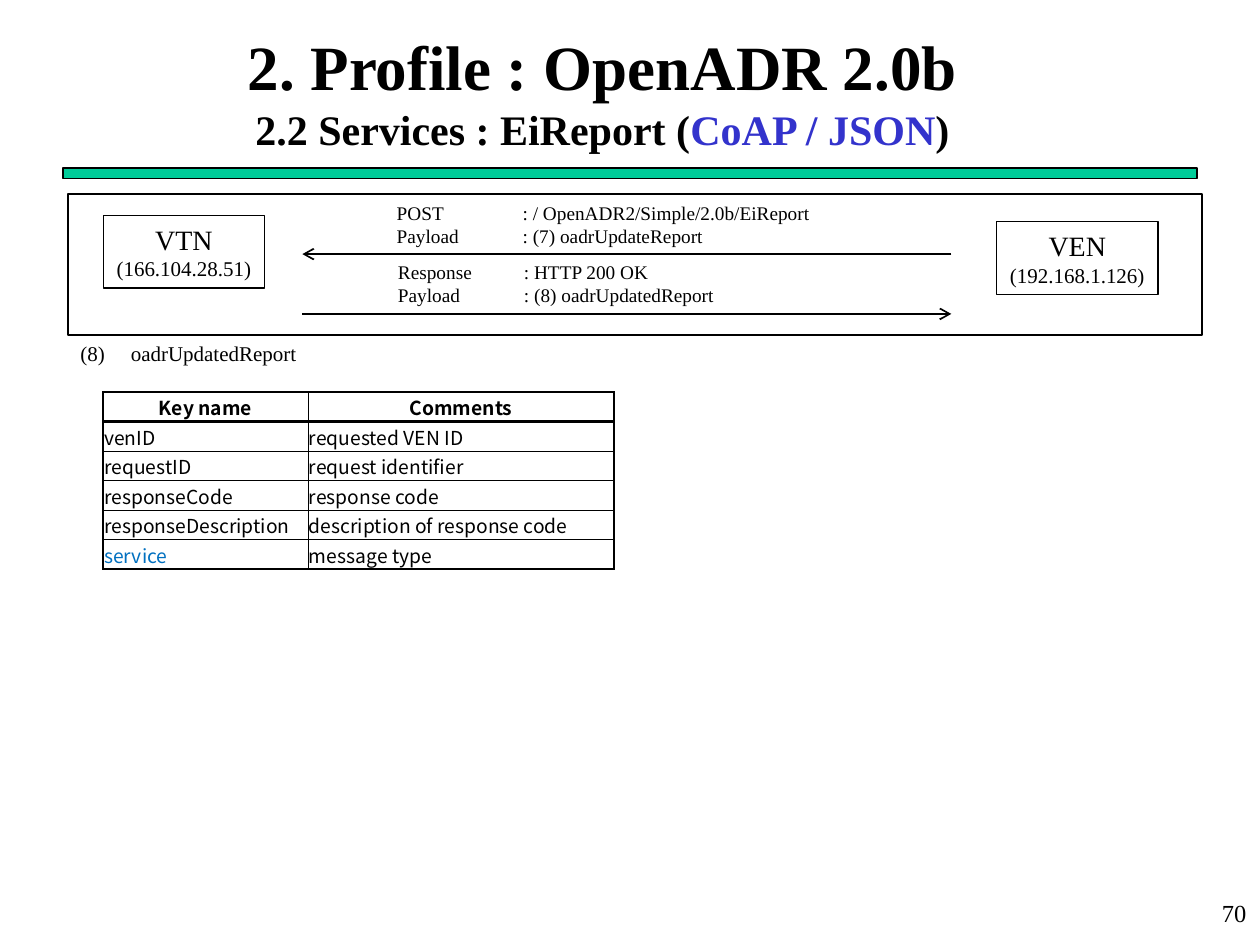
import dataclasses
import typing

import pptx
import pptx.dml.color
import pptx.enum.shapes
import pptx.enum.text
import pptx.oxml
import pptx.oxml.ns
import pptx.util

Pt = pptx.util.Pt
RGBColor = pptx.dml.color.RGBColor
Align = pptx.enum.text.PP_ALIGN
Anchor = pptx.enum.text.MSO_ANCHOR
Kind = pptx.enum.shapes.MSO_SHAPE

BLACK = RGBColor(0x00, 0x00, 0x00)
WHITE = RGBColor(0xFF, 0xFF, 0xFF)
GREEN = RGBColor(0x00, 0xCC, 0x99)
INDIGO = RGBColor(0x33, 0x33, 0xCC)
BLUE = RGBColor(0x00, 0x70, 0xC0)
SERIF = "Times New Roman"
SANS = "Noto Sans CJK KR"


@dataclasses.dataclass
class Run:
    text: str
    size: float
    color: RGBColor = BLACK
    bold: bool = False
    name: str = SERIF


@dataclasses.dataclass
class Area:
    left: float
    top: float
    width: float
    height: float

    def spots(self) -> list:
        return [Pt(v) for v in dataclasses.astuple(self)]


@dataclasses.dataclass
class Note:
    area: Area
    lines: list
    align: Align = Align.LEFT
    tab: float = 72


@dataclasses.dataclass
class Node:
    area: Area
    name: str
    address: str


@dataclasses.dataclass
class Arrow:
    start: float
    end: float
    top: float


def assign(item: typing.Any, values: dict) -> None:
    for key, value in values.items():
        setattr(item, key, value)


def write(frame: typing.Any, lines: list, align: Align) -> None:
    """Fill a text frame with one paragraph for each list of runs."""
    for i, runs in enumerate(lines):
        par = frame.paragraphs[0] if i == 0 else frame.add_paragraph()
        par.alignment = align
        for part in runs:
            run = par.add_run()
            run.text = part.text
            assign(run.font, {"size": Pt(part.size), "bold": part.bold, "name": part.name})
            run.font.color.rgb = part.color


def add_note(shapes: typing.Any, note: Note) -> None:
    frame = shapes.add_textbox(*note.area.spots()).text_frame
    frame.word_wrap = True
    write(frame, note.lines, note.align)
    for par in frame.paragraphs:
        stops = pptx.oxml.parse_xml(
            f'<a:tabLst {pptx.oxml.ns.nsdecls("a")}>'
            f'<a:tab pos="{Pt(note.tab)}" algn="l"/></a:tabLst>')
        par._p.get_or_add_pPr().append(stops)


def add_box(shapes: typing.Any, area: Area, fill: RGBColor, weight: float) -> typing.Any:
    box = shapes.add_shape(Kind.RECTANGLE, *area.spots())
    box.shadow.inherit = False
    box.fill.solid()
    box.fill.fore_color.rgb = fill
    box.line.color.rgb = BLACK
    box.line.width = Pt(weight)
    return box


def add_node(shapes: typing.Any, node: Node) -> None:
    frame = add_box(shapes, node.area, WHITE, 0.75).text_frame
    assign(frame, {"word_wrap": False, "vertical_anchor": Anchor.MIDDLE})
    write(frame, [[Run(node.name, 16)], [Run(node.address, 12)]], Align.CENTER)


def add_arrow(shapes: typing.Any, arrow: Arrow) -> None:
    line = shapes.add_connector(
        pptx.enum.shapes.MSO_CONNECTOR.STRAIGHT,
        Pt(arrow.start), Pt(arrow.top), Pt(arrow.end), Pt(arrow.top))
    line.line.color.rgb = BLACK
    line.line.width = Pt(1)
    space = pptx.oxml.ns.nsdecls("a")
    line.line._get_or_add_ln().append(pptx.oxml.parse_xml(f'<a:tailEnd {space} type="arrow"/>'))
    line._element.spPr.append(pptx.oxml.parse_xml(f"<a:effectLst {space}/>"))


def add_edge(cell: typing.Any, side: str, weight: float) -> None:
    cell._tc.get_or_add_tcPr().append(pptx.oxml.parse_xml(
        f'<a:ln{side} {pptx.oxml.ns.nsdecls("a")} w="{Pt(weight)}">'
        f'<a:solidFill><a:srgbClr val="{BLACK}"/></a:solidFill></a:ln{side}>'))


def add_grid(shapes: typing.Any, area: Area, widths: list, rows: list) -> None:
    grid = shapes.add_table(len(rows), len(widths), *area.spots()).table
    for col, width in zip(grid.columns, widths):
        col.width = Pt(width)
    last = len(rows) - 1
    for r, row in enumerate(rows):
        grid.rows[r].height = Pt(area.height / len(rows))
        for c, text in enumerate(row):
            cell = grid.cell(r, c)
            assign(cell, {"margin_left": Pt(0.6), "margin_right": Pt(0.6),
                          "margin_top": Pt(0.6), "margin_bottom": 0,
                          "vertical_anchor": Anchor.MIDDLE})
            edges = {"L": 1 if c == 0 else 0.5,
                     "R": 1 if c == len(row) - 1 else 0.5,
                     "T": {0: 1, 1: 2}.get(r, 0.5),
                     "B": {0: 2, last: 1}.get(r, 0.5)}
            for side, weight in edges.items():
                add_edge(cell, side, weight)
            cell.fill.background()
            color = BLUE if text == "service" else BLACK
            write(cell.text_frame, [[Run(text, 11, color, r == 0, SANS)]],
                  Align.CENTER if r == 0 else Align.LEFT)


NOTES = [
    Note(Area(569.5, 509.8, 149.8, 30.2), [[Run("70", 14)]], Align.RIGHT),
    Note(Area(38.9, 190.8, 497.5, 21.6), [[Run("(8)\toadrUpdatedReport", 12)]], tab=28.8),
    Note(Area(219.6, 111.6, 254.9, 33.8), [
        [Run("POST\t: / OpenADR2/Simple/2.0b/EiReport", 11)],
        [Run("Payload\t: (7) oadrUpdateReport", 11)]]),
    Note(Area(220.3, 145.4, 195.8, 33.8), [
        [Run("Response\t: HTTP 200 OK", 11)],
        [Run("Payload\t: (8) oadrUpdatedReport", 11)]]),
]
NODES = [
    Node(Area(59, 123.1, 92.2, 41.4), "VTN", "(166.104.28.51)"),
    Node(Area(569.5, 126.7, 92.2, 41.4), "VEN", "(192.168.1.126)"),
]
ARROWS = [Arrow(543.6, 172.8, 145.2), Arrow(172.8, 543.6, 179.4)]
TITLE = [
    [Run("2. Profile : OpenADR 2.0b", 36, bold=True)],
    [Run("2.2 Services : EiReport (", 24, bold=True),
     Run("CoAP / JSON", 24, INDIGO, True), Run(")", 24, bold=True)],
]
ROWS = [
    ("Key name", "Comments"),
    ("venID", "requested VEN ID"),
    ("requestID", "request identifier"),
    ("responseCode", "response code"),
    ("responseDescription", "description of response code"),
    ("service", "message type"),
]


def main() -> None:
    deck = pptx.Presentation()
    assign(deck, {"slide_width": Pt(720), "slide_height": Pt(540)})
    slide = deck.slides.add_slide(deck.slide_layouts[5])
    shapes = slide.shapes

    title = shapes.title
    spots = Area(2.2, 18.7, 684, 66.2).spots()
    assign(title, dict(zip(("left", "top", "width", "height"), spots)))
    assign(title.text_frame, {"vertical_anchor": Anchor.MIDDLE, "word_wrap": True,
                              "auto_size": pptx.enum.text.MSO_AUTO_SIZE.NONE})
    write(title.text_frame, TITLE, Align.CENTER)

    add_box(shapes, Area(36, 96, 648, 6), GREEN, 0.75)
    flow = shapes.add_group_shape().shapes
    add_box(flow, Area(38.9, 110.9, 648, 80.6), WHITE, 1)
    for node in NODES:
        add_node(flow, node)
    for arrow in ARROWS:
        add_arrow(flow, arrow)
    for note in NOTES:
        add_note(shapes, note)
    add_grid(shapes, Area(59, 223.9, 292, 101.5), [117, 175], ROWS)
    deck.save("out.pptx")


if __name__ == "__main__":
    main()
